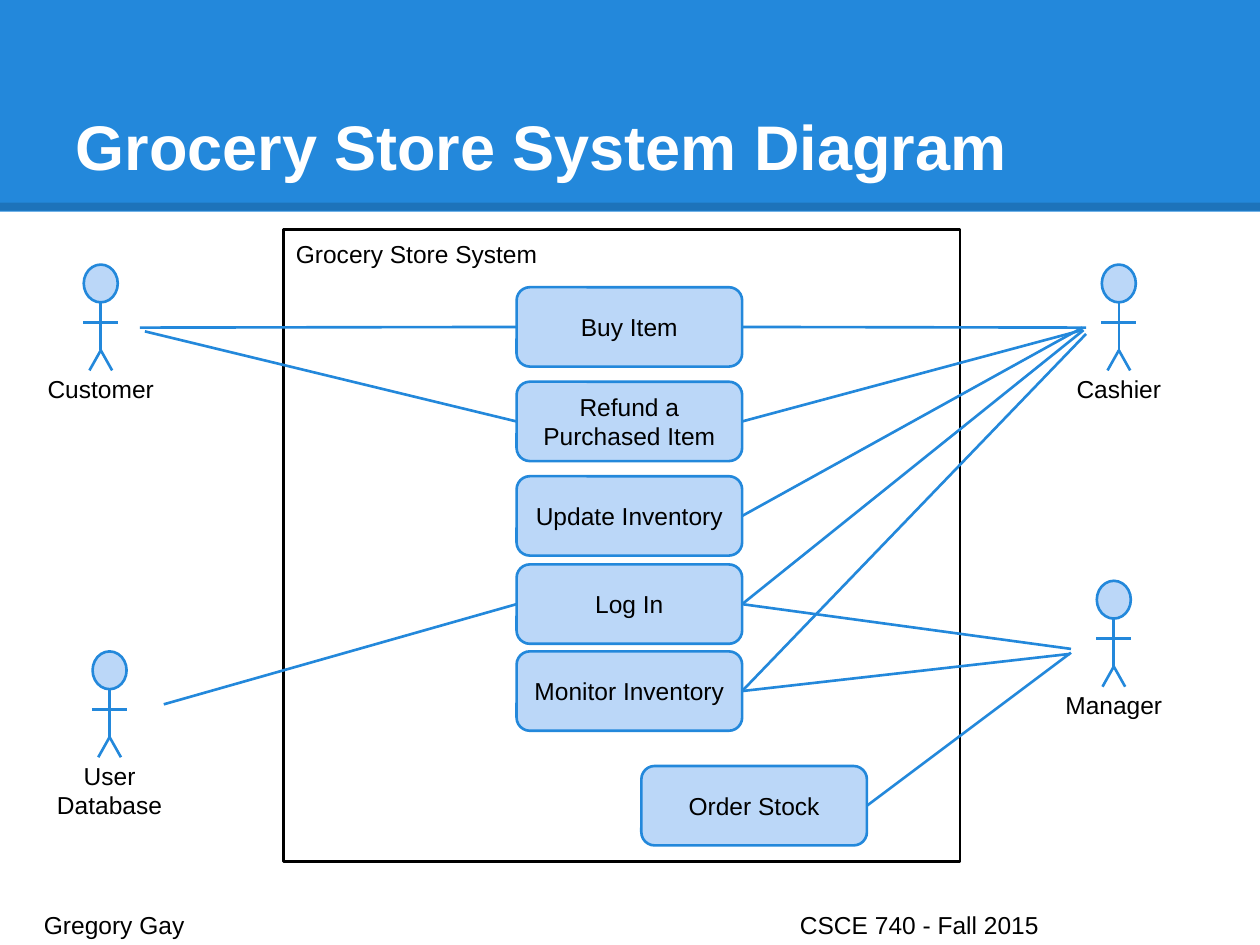
from collections import namedtuple

from lxml import etree
from pptx import Presentation
from pptx.dml.color import RGBColor
from pptx.enum import shapes, text
from pptx.oxml.ns import qn
from pptx.util import Inches, Pt

Theme = namedtuple("Theme", "font blue pale white black title body line divider")
THEME = Theme("Arial", "2388DB", "BBD7F8", "FFFFFF", "000000", 36, 14, 1.5, 4.5)

TITLE = "Grocery Store System Diagram"
SYSTEM = "Grocery Store System"
FOOTER = "Gregory Gay\tCSCE 740 - Fall 2015"
FOOTER_TAB = 6

CASE_SIZE = (1.79, 0.63)
CASES = {  # name: (left, top)
    "Buy Item": (4.1, 2.28),
    "Refund a Purchased Item": (4.1, 3.03),
    "Update Inventory": (4.1, 3.78),
    "Log In": (4.1, 4.48),
    "Monitor Inventory": (4.1, 5.17),
    "Order Stock": (5.09, 6.08),
}
ACTORS = {  # name: (centre x, top of head)
    "Customer": (0.8, 2.1),
    "Cashier": (8.88, 2.1),
    "Manager": (8.84, 4.61),
    "User Database": (0.87, 5.17),
}
LEFT, RIGHT = 1, 3  # connection sites of a use case
LINKS = [  # (point beside the actor, use case, side)
    ((1.11, 2.6), "Buy Item", LEFT),
    ((1.15, 2.63), "Refund a Purchased Item", LEFT),
    ((1.3, 5.59), "Log In", LEFT),
    ((8.62, 2.6), "Buy Item", RIGHT),
    ((8.59, 2.62), "Refund a Purchased Item", RIGHT),
    ((8.59, 2.6), "Update Inventory", RIGHT),
    ((8.6, 2.62), "Log In", RIGHT),
    ((8.62, 2.65), "Monitor Inventory", RIGHT),
    ((8.5, 5.15), "Log In", RIGHT),
    ((8.49, 5.19), "Monitor Inventory", RIGHT),
    ((8.5, 5.18), "Order Stock", RIGHT),
]
HEAD = (0.27, 0.3)
LIMBS = [  # from and to, measured from the top centre of the head
    ((0, 0.3), (0, 0.68)),
    ((0, 0.68), (-0.09, 0.84)),
    ((0, 0.68), (0.09, 0.84)),
    ((-0.14, 0.46), (0.14, 0.46)),
]
LABEL_SIZE = (1.24, 0.3)
LABEL_DROP = 0.77


def write(box, words, size=THEME.body, color=THEME.black, bold=False,
          align=text.PP_ALIGN.LEFT, anchor=text.MSO_ANCHOR.TOP, tab=None, top=0.1):
    frame = box.text_frame
    frame.word_wrap = True
    frame.auto_size = text.MSO_AUTO_SIZE.NONE
    frame.vertical_anchor = anchor
    frame.margin_left = frame.margin_right = frame.margin_bottom = Inches(0.1)
    frame.margin_top = Inches(top)
    para = frame.paragraphs[0]
    para.alignment = align
    if tab:
        stops = etree.SubElement(para._p.get_or_add_pPr(), qn("a:tabLst"))
        etree.SubElement(stops, qn("a:tab"), pos=str(Inches(tab)), algn="l")
    span = para.add_run()
    span.text = words
    span.font.name, span.font.size, span.font.bold = THEME.font, Pt(size), bold
    span.font.color.rgb = RGBColor.from_string(color)


def add_box(page, kind, left, top, width, height, fill, outline=None):
    box = page.shapes.add_shape(kind, *map(Inches, (left, top, width, height)))
    box.shadow.inherit = False
    box.fill.solid()
    box.fill.fore_color.rgb = RGBColor.from_string(fill)
    if outline:
        box.line.color.rgb = RGBColor.from_string(outline)
        box.line.width = Pt(THEME.line)
    else:
        box.line.fill.background()
    return box


def add_line(page, start, end, color=THEME.blue, width=THEME.line):
    line = page.shapes.add_connector(
        shapes.MSO_CONNECTOR.STRAIGHT, *map(Inches, (*start, *end)))
    line.line.color.rgb = RGBColor.from_string(color)
    line.line.width = Pt(width)
    etree.SubElement(line._element.spPr, qn("a:effectLst"))
    return line


def add_label(page, words, left, top, width, height, **style):
    box = page.shapes.add_textbox(*map(Inches, (left, top, width, height)))
    write(box, words, **style)


def add_header(page):
    add_box(page, shapes.MSO_SHAPE.RECTANGLE, 0, 0, 10, 1.68, THEME.blue)
    divider = add_line(page, (0, 1.64), (10, 1.64), THEME.black, THEME.divider)
    tint = divider._element.spPr.find(".//" + qn("a:srgbClr"))
    etree.SubElement(tint, qn("a:alpha"), val="15000")
    title = page.shapes.title
    title.left, title.top, title.width, title.height = map(Inches, (0.5, 0.3, 9, 1.25))
    write(title, TITLE, size=THEME.title, color=THEME.white, bold=True,
          anchor=text.MSO_ANCHOR.BOTTOM)
    page.shapes._spTree.append(title._element)  # in front of the band


def add_actor(page, name, x, top):
    add_box(page, shapes.MSO_SHAPE.OVAL, x - HEAD[0] / 2, top, *HEAD,
            THEME.pale, THEME.blue)
    for start, end in LIMBS:
        add_line(page, *((x + dx, top + dy) for dx, dy in (start, end)))
    add_label(page, name, x - LABEL_SIZE[0] / 2, top + LABEL_DROP, *LABEL_SIZE,
              align=text.PP_ALIGN.CENTER)


def main():
    deck = Presentation()
    deck.slide_width, deck.slide_height = Inches(10), Inches(7.5)
    page = deck.slides.add_slide(deck.slide_layouts[5])
    add_header(page)

    system = add_box(page, shapes.MSO_SHAPE.RECTANGLE, 2.25, 1.82, 5.37, 5.02,
                     THEME.white, THEME.black)
    write(system, SYSTEM, top=0.08)

    case_boxes = {}
    for name, place in CASES.items():
        box = add_box(page, shapes.MSO_SHAPE.ROUNDED_RECTANGLE, *place, *CASE_SIZE,
                      THEME.pale, THEME.blue)
        write(box, name, align=text.PP_ALIGN.CENTER, anchor=text.MSO_ANCHOR.MIDDLE)
        case_boxes[name] = box

    for point, name, side in LINKS:
        add_line(page, point, point).end_connect(case_boxes[name], side)

    for name, (x, top) in ACTORS.items():
        add_actor(page, name, x, top)

    add_label(page, FOOTER, 0.25, 7.12, 9.51, 0.3, tab=FOOTER_TAB)
    deck.save("out.pptx")


if __name__ == "__main__":
    main()
